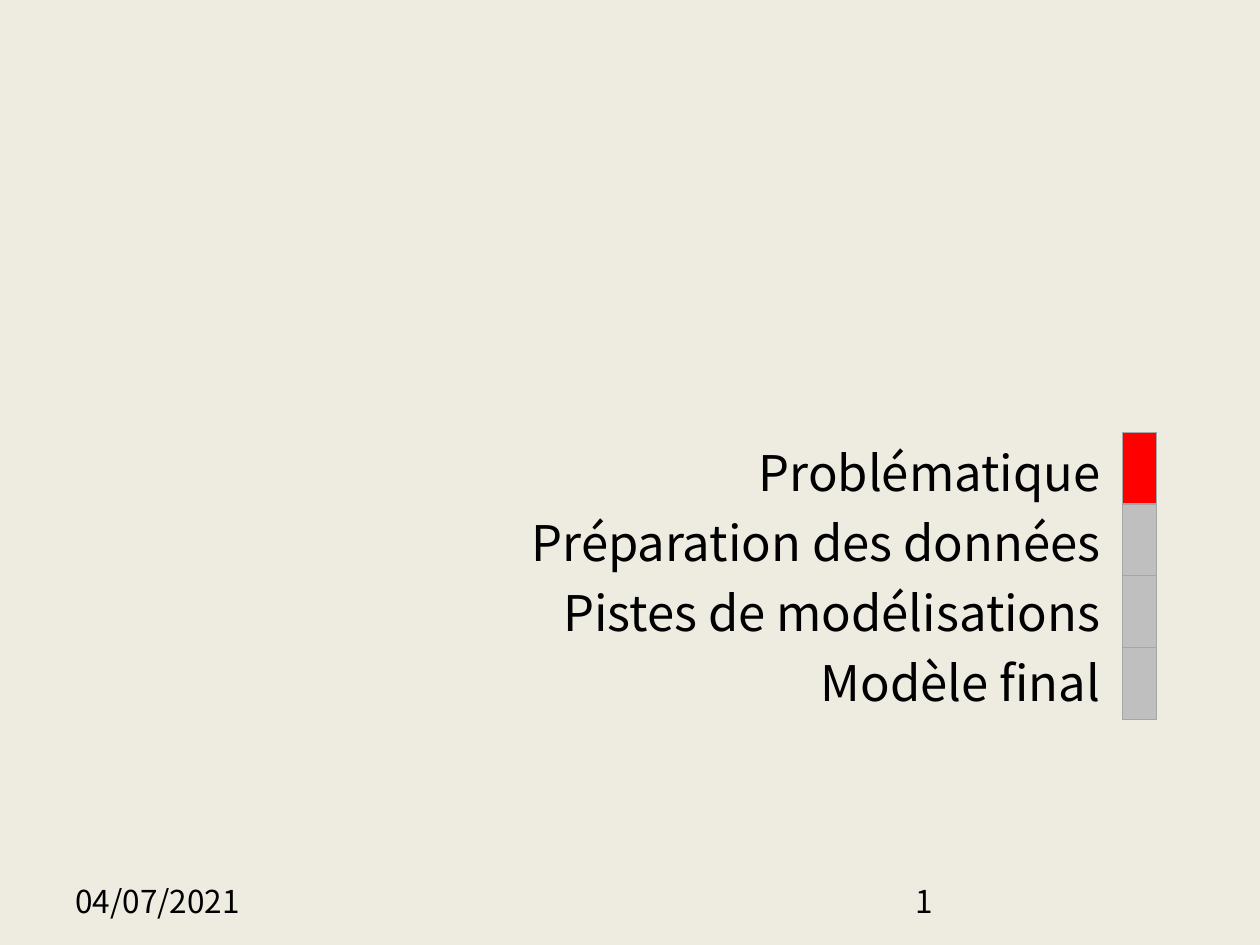
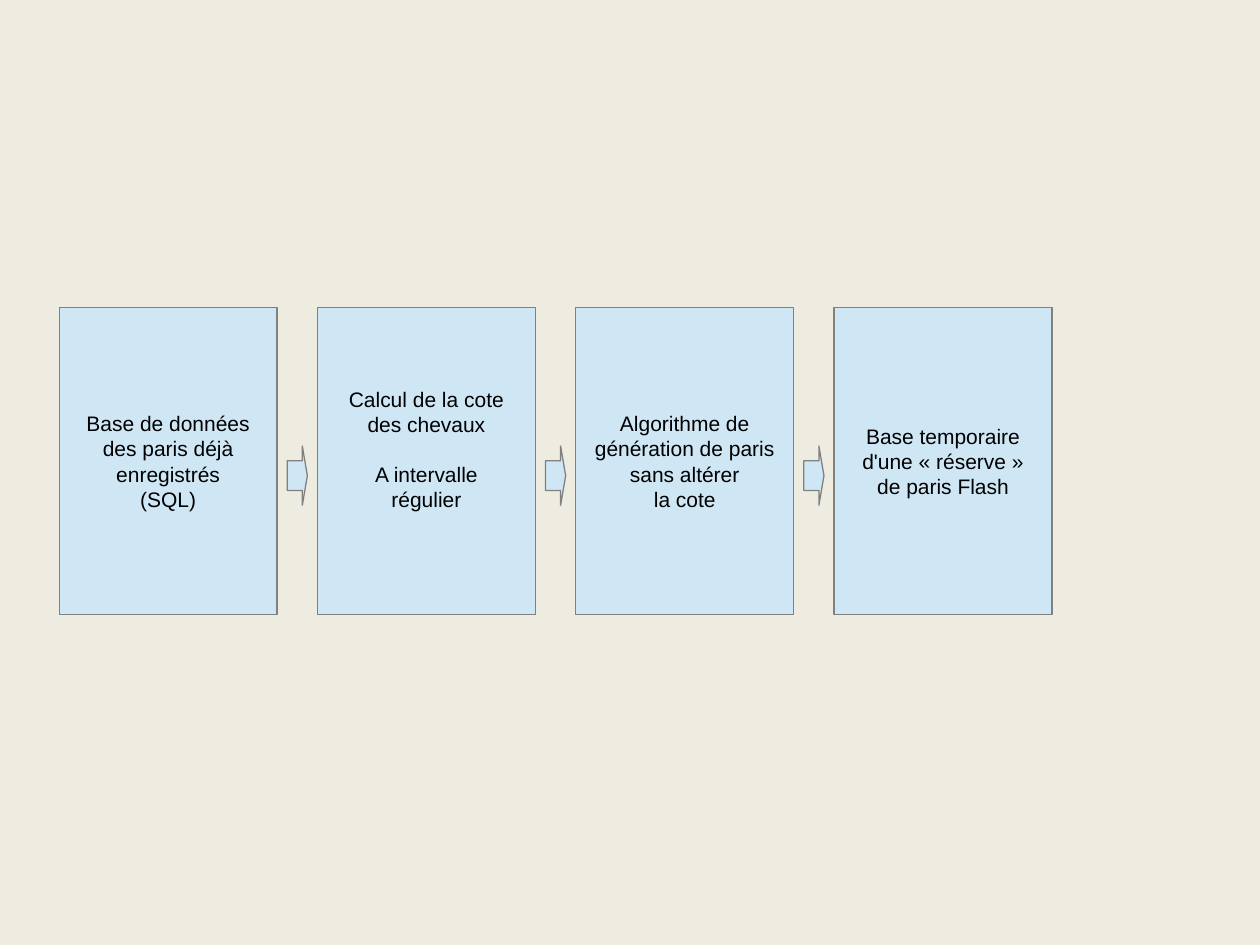
from pptx import Presentation
from pptx.dml.color import RGBColor
from pptx.enum.shapes import MSO_SHAPE
from pptx.enum.text import MSO_ANCHOR, PP_ALIGN
from pptx.util import Inches, Pt

RECT, ARROW = MSO_SHAPE.RECTANGLE, MSO_SHAPE.RIGHT_ARROW
LEFT, CENTER, RIGHT = PP_ALIGN.LEFT, PP_ALIGN.CENTER, PP_ALIGN.RIGHT
TOP, MIDDLE = MSO_ANCHOR.TOP, MSO_ANCHOR.MIDDLE

COLORS = {
    "background": "EEECE1",
    "text": "000000",
    "active": "FF0000",
    "inactive": "BFBFBF",
    "marker_line": "A6A6A6",
    "step": "CFE7F5",
    "step_line": "808080",
}
OUTLINE_FONT, STEP_FONT = "Noto Sans CJK JP", "Arial"

SECTIONS = ["Problématique", "Préparation des données",
            "Pistes de modélisations", "Modèle final"]
STEPS = [
    [["Base de données", "des paris déjà", "enregistrés", "(SQL)"]],
    [["Calcul de la cote", "des chevaux"], ["A intervalle", "régulier"]],
    [["Algorithme de", "génération de paris", "sans altérer", "la cote"]],
    [["Base temporaire", "d'une « réserve »", "de paris Flash"]],
]


class Deck:
    def __init__(self):
        self.prs = Presentation()
        self.prs.slide_width, self.prs.slide_height = Inches(10), Inches(7.5)
        self.slide = None

    def color(self, name):
        return RGBColor.from_string(COLORS[name])

    def add_slide(self):
        self.slide = self.prs.slides.add_slide(self.prs.slide_layouts[6])
        fill = self.slide.background.fill
        fill.solid()
        fill.fore_color.rgb = self.color("background")

    def add_lines(self, sp, lines, size, font, align=LEFT, anchor=TOP, gaps=None):
        tf = sp.text_frame
        tf.word_wrap = True
        tf.vertical_anchor = anchor
        for i, line in enumerate(lines):
            p = tf.paragraphs[0] if i == 0 else tf.add_paragraph()
            p.alignment = align
            if gaps and gaps[i]:
                p.space_before = Pt(gaps[i])
            r = p.add_run()
            r.text = line
            r.font.size = Pt(size)
            r.font.name = font
            r.font.color.rgb = self.color("text")

    def text(self, x, y, w, h, lines, size, **style):
        sp = self.slide.shapes.add_textbox(Inches(x), Inches(y), Inches(w), Inches(h))
        self.add_lines(sp, lines, size, OUTLINE_FONT, **style)

    def shape(self, kind, x, y, w, h, fill, line, width=0, parent=None):
        shapes = (parent or self.slide).shapes
        sp = shapes.add_shape(kind, Inches(x), Inches(y), Inches(w), Inches(h))
        sp.shadow.inherit = False
        sp.fill.solid()
        sp.fill.fore_color.rgb = self.color(fill)
        sp.line.color.rgb = self.color(line)
        sp.line.width = Pt(width)
        return sp

    def markers(self, x, y, w, h, count, active):
        group = self.slide.shapes.add_group_shape()
        for i in range(count):
            fill = "active" if i == active else "inactive"
            self.shape(RECT, x, y + i * h, w, h, fill, "marker_line", 0.5, group)

    def step(self, x, y, w, h, blocks):
        sp = self.shape(RECT, x, y, w, h, "step", "step_line")
        lines, gaps = [], []
        for b, block in enumerate(blocks):
            lines += block
            gaps += [13.8 if b else 0] + [0] * (len(block) - 1)
        if len(blocks) > 1:
            sp.text_frame.margin_bottom = Inches(0.24)
        self.add_lines(sp, lines, 12, STEP_FONT, CENTER, MIDDLE, gaps)

    def arrow(self, x, y, w, h):
        sp = self.shape(ARROW, x, y, w, h, "step", "step_line")
        sp.adjustments[0], sp.adjustments[1] = 0.5, 0.25

    def footer(self, date, number):
        for x, label in ((0.5, date), (7.17, number)):
            self.text(x, 6.95, 2.33, 0.4, [label], 18)


def outline_slide(deck):
    deck.add_slide()
    deck.footer("04/07/2021", "1")
    gaps = [0] + [6.4] * (len(SECTIONS) - 1)
    deck.text(3.91, 3.46, 4.92, 2.33, SECTIONS, 28, align=RIGHT, gaps=gaps)
    deck.markers(8.91, 3.43, 0.27, 0.57, len(SECTIONS), active=0)


def process_slide(deck):
    deck.add_slide()
    left, pitch = 0.47, 2.05
    for i, blocks in enumerate(STEPS):
        deck.step(left + i * pitch, 2.44, 1.73, 2.44, blocks)
    for i in range(len(STEPS) - 1):
        deck.arrow(left + 1.81 + i * pitch, 3.54, 0.16, 0.47)


def main():
    deck = Deck()
    outline_slide(deck)
    process_slide(deck)
    deck.prs.save("out.pptx")


if __name__ == "__main__":
    main()
